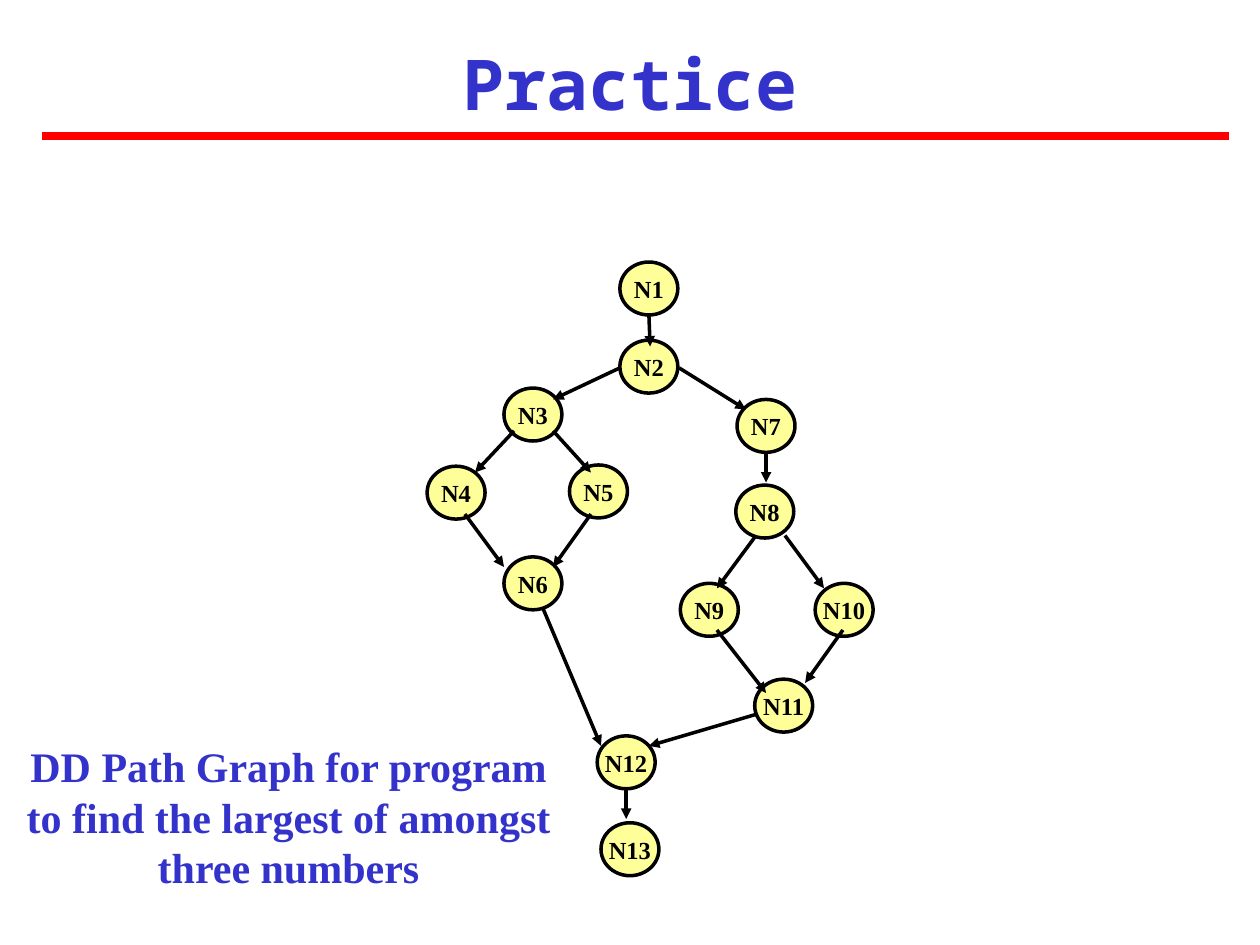
from pptx import Presentation
from pptx.dml.color import RGBColor
from pptx.enum.shapes import MSO_CONNECTOR, MSO_SHAPE
from pptx.enum.text import MSO_ANCHOR, PP_ALIGN
from pptx.oxml.ns import qn
from pptx.util import Inches, Pt
from lxml import etree

SERIF, MONO = "Times New Roman", "Noto Sans Mono"
BLACK, BLUE, RED, YELLOW = "000000", "3333CC", "FF0000", "FFFF99"
NODE_W, NODE_H = 0.46, 0.42

# Left and top of each node, in inches from the corner of the graph
NODES = {
    "N1": (1.92, 0.08), "N2": (1.92, 0.7), "N3": (1, 1.08), "N4": (0.39, 1.7),
    "N5": (1.52, 1.69), "N6": (1, 2.42), "N7": (2.85, 1.17), "N8": (2.84, 1.85),
    "N9": (2.4, 2.63), "N10": (3.47, 2.63), "N11": (2.99, 3.39),
    "N12": (1.74, 3.84), "N13": (1.77, 4.53),
}

# Start and end of each edge, in inches from the corner of the graph
EDGES = [
    ((2.15, 0.5), (2.16, 0.75)),  # N1 to N2
    ((1.92, 0.92), (1.39, 1.17)),  # N2 to N3
    ((2.39, 0.92), (2.92, 1.25)),  # N2 to N7
    ((1.08, 1.42), (0.77, 1.75)),  # N3 to N4
    ((1.39, 1.42), (1.69, 1.75)),  # N3 to N5
    ((3.08, 1.58), (3.08, 1.83)),  # N7 to N8
    ((3, 2.25), (2.69, 2.67)),  # N8 to N9
    ((3.23, 2.25), (3.54, 2.67)),  # N8 to N10
    ((2.69, 3), (3.08, 3.5)),  # N9 to N11
    ((3.69, 3), (3.39, 3.42)),  # N10 to N11
    ((0.69, 2.08), (1, 2.5)),  # N4 to N6
    ((1.69, 2.08), (1.39, 2.5)),  # N5 to N6
    ((1.31, 2.83), (1.77, 3.92)),  # N6 to N12
    ((3, 3.67), (2.15, 3.92)),  # N11 to N12
    ((1.97, 4.25), (1.97, 4.5)),  # N12 to N13
]


def rgb(color):
    return RGBColor.from_string(color)


def set_text(sp, text, size, font, color, anchor, wrap):
    """Write one bold, centred paragraph into a shape."""
    tf = sp.text_frame
    tf.text = text
    tf.word_wrap = wrap
    tf.vertical_anchor = anchor
    p = tf.paragraphs[0]
    p.alignment = PP_ALIGN.CENTER
    f = p.runs[0].font
    f.name, f.size, f.bold = font, Pt(size), True
    f.color.rgb = rgb(color)


def add_line(slide, start, end, color, width, arrow=False):
    points = [Inches(v) for v in (*start, *end)]
    line = slide.shapes.add_connector(MSO_CONNECTOR.STRAIGHT, *points)
    line.line.color.rgb = rgb(color)
    line.line.width = Pt(width)
    if arrow:
        ln = line.line._get_or_add_ln()
        etree.SubElement(ln, qn("a:tailEnd"), type="triangle")
    etree.SubElement(line._element.spPr, qn("a:effectLst"))


def add_node(slide, name, left, top):
    sp = slide.shapes.add_shape(MSO_SHAPE.OVAL, Inches(left), Inches(top),
                                Inches(NODE_W), Inches(NODE_H))
    sp.shadow.inherit = False
    sp.fill.solid()
    sp.fill.fore_color.rgb = rgb(YELLOW)
    sp.line.color.rgb = rgb(BLACK)
    sp.line.width = Pt(2)
    set_text(sp, name, 14, SERIF, BLACK, MSO_ANCHOR.MIDDLE, False)


def add_graph(slide, left, top):
    for name, (x, y) in NODES.items():
        add_node(slide, name, left + x, top + y)
    for edge in EDGES:
        start, end = [(left + x, top + y) for x, y in edge]
        add_line(slide, start, end, BLACK, 2, arrow=True)


def add_caption(slide, left, top, width, height):
    box = slide.shapes.add_textbox(*map(Inches, (left, top, width, height)))
    set_text(box, "DD Path Graph for program to find the largest of amongst "
             "three numbers", 24, SERIF, BLUE, MSO_ANCHOR.TOP, True)


def add_title(slide, left, top, width, height):
    """Place the title with a red rule under it."""
    box = slide.shapes.add_textbox(*map(Inches, (left, top, width, height)))
    set_text(box, "Practice", 40, MONO, BLUE, MSO_ANCHOR.MIDDLE, True)
    tf = box.text_frame
    tf.margin_left = tf.margin_right = Inches(0.02)
    rule_y = top + height + 0.01
    add_line(slide, (left + 0.08, rule_y), (left + width, rule_y), RED, 4.5)


def main():
    prs = Presentation()
    prs.slide_width, prs.slide_height = Inches(10), Inches(7.5)
    slide = prs.slides.add_slide(prs.slide_layouts[6])
    add_graph(slide, 3, 2)
    add_caption(slide, 0, 5.83, 4.58, 1.3)
    add_title(slide, 0.25, 0.24, 9.5, 0.83)
    prs.save("out.pptx")


if __name__ == "__main__":
    main()
